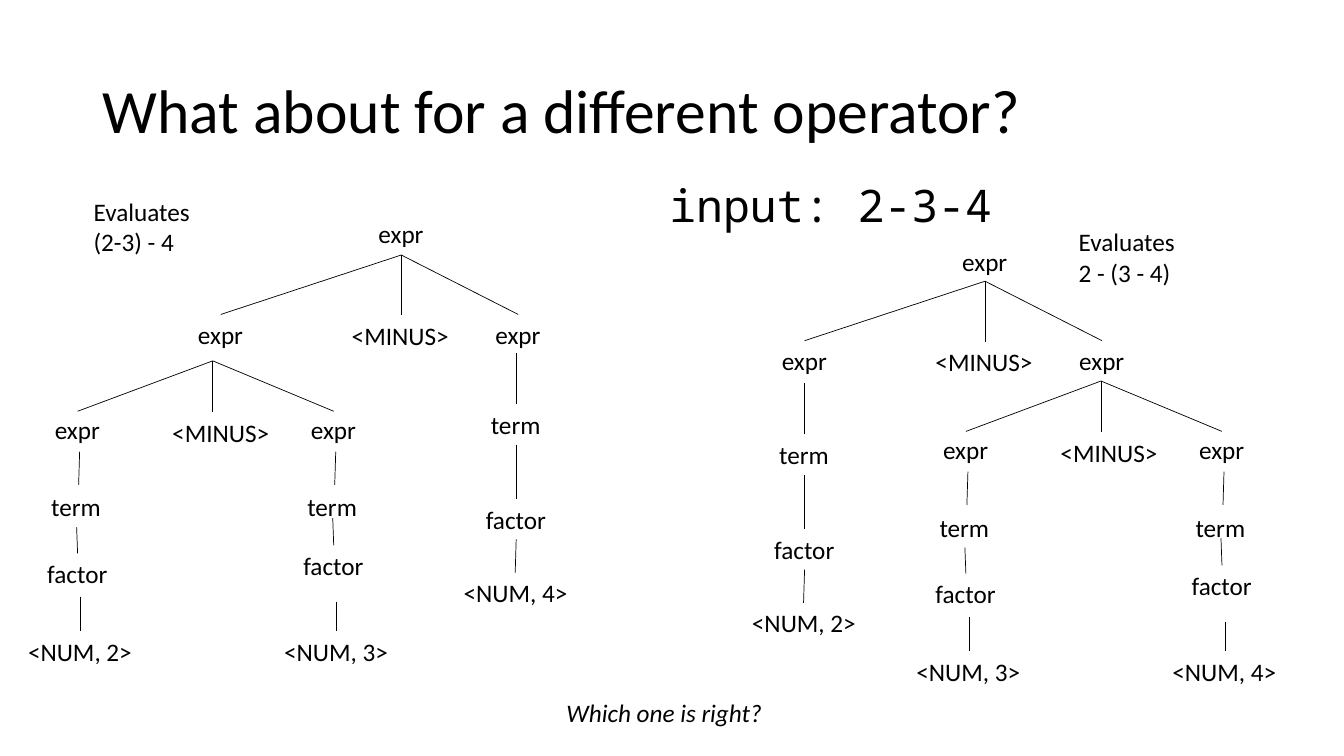
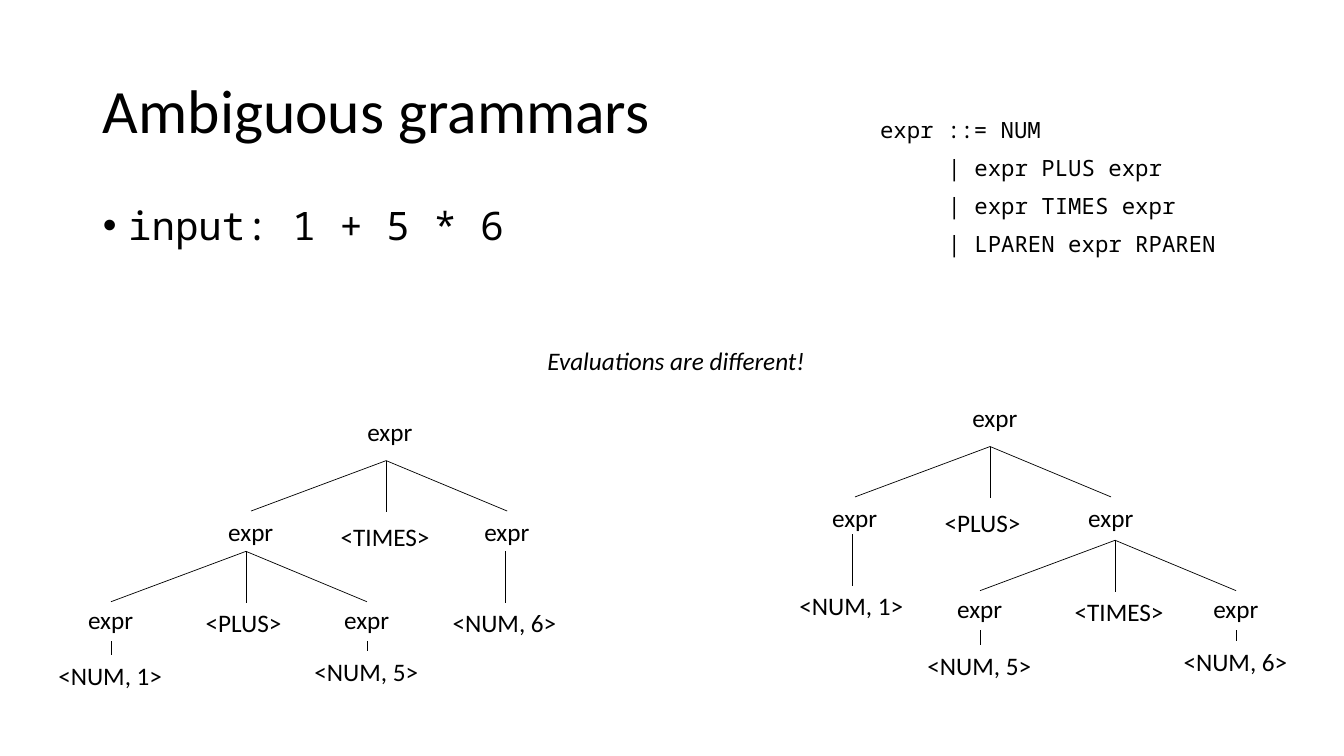
import dataclasses
import typing

import lxml.etree
import pptx
import pptx.dml.color
import pptx.enum.shapes
import pptx.enum.text
import pptx.oxml.ns
import pptx.util

# Shared style; the grid has square cells, 75 rows to the slide's height
COLOURS = {"paper": "FFFFFF", "ink": "000000"}
SANS, MONO = "Calibri", "Noto Sans Mono"
SLIDE_WIDTH, SLIDE_HEIGHT = pptx.util.Inches(13.33), pptx.util.Inches(7.5)
ROWS = 75
TITLE_AREA = (9.2, 4, 115, 14.5)
BODY_AREA = (9.2, 20, 115, 47.6)
LABEL_HEIGHT = 4
LABEL_WIDTHS = {"expr": 6.5, "term": 7, "factor": 8, "<MINUS>": 11.7,
                "<TIMES>": 10.9, "<PLUS>": 9.6, "<NUM": 12.4}


@dataclasses.dataclass
class Fork:
    """Offsets from the point where three branches meet."""
    left: float
    right: float
    drop: float
    leaf_top: float
    operator_left: float
    operator_top: float


WIDE_FORK = Fork(-17.9, 11.6, 5.9, 5.9, -5.9, 6)
UPPER_FORK = Fork(-13.4, 12, 5, 5, -5.5, 5.5)
LOWER_FORK = Fork(-13.4, 12, 5, 4.8, -5, 5.1)


class Step(typing.NamedTuple):
    """A label below a node and the line to it, as offsets from the node."""
    label: str
    shift: float
    top: float
    line_start: tuple
    line_end: tuple


NUMBER = "<NUM, {}>"
LONG_CHAIN = [Step("term", 0, 9.3, (0, 4.2), (0, 9.3)),
              Step("factor", 0, 18.7, (0, 13.3), (0, 18.7)),
              Step(NUMBER, 0, 26, (0, 22.7), (-0.1, 26))]
LEFT_CHAIN = [Step("term", -0.1, 7.7, (0.2, 4.2), (0.1, 7.5)),
              Step("factor", 0, 14.3, (-0.1, 11.7), (0, 14.3)),
              Step(NUMBER, 0.3, 22, (0.3, 18.6), (0.3, 22))]
RIGHT_CHAIN = [Step("term", -0.1, 7.7, (0.2, 4.2), (0.1, 7.5)),
               Step("factor", 0, 13.5, (-0.1, 10.8), (0, 13.5)),
               Step(NUMBER, 0.3, 22, (0.3, 19.1), (0.3, 22))]


def drop_chain(top, start=4.1, shift=0.0):
    """A single step straight down to a number."""
    return [Step(NUMBER, shift, top, (shift, start), (shift, top))]


def cells(count):
    return pptx.util.Emu(round(count * SLIDE_HEIGHT / ROWS))


def colour(name):
    return pptx.dml.color.RGBColor.from_string(COLOURS[name])


# Text
def format_text(text_frame, size, font=SANS, italic=False):
    for paragraph in text_frame.paragraphs:
        paragraph.alignment = pptx.enum.text.PP_ALIGN.LEFT
        for run in paragraph.runs:
            run.font.size = pptx.util.Pt(size)
            run.font.name = font
            run.font.italic = italic
            run.font.color.rgb = colour("ink")


def set_spacing(paragraph, before):
    paragraph.line_spacing = 0.9
    paragraph.space_before = pptx.util.Pt(before)


def set_indent(paragraph, margin, first_line=0):
    properties = paragraph._p.get_or_add_pPr()
    properties.set("marL", str(cells(margin)))
    properties.set("indent", str(cells(first_line)))


def fill_placeholder(shape, area, text, size, font, anchor, before):
    shape.left, shape.top, shape.width, shape.height = map(cells, area)
    text_frame = shape.text_frame
    text_frame.text = text
    text_frame.word_wrap = True
    text_frame.auto_size = pptx.enum.text.MSO_AUTO_SIZE.NONE
    text_frame.vertical_anchor = anchor
    set_spacing(text_frame.paragraphs[0], before)
    format_text(text_frame, size, font)


def add_titled_slide(presentation, layout_index, title):
    slide = presentation.slides.add_slide(presentation.slide_layouts[layout_index])
    slide.background.fill.solid()
    slide.background.fill.fore_color.rgb = colour("paper")
    fill_placeholder(slide.shapes.title, TITLE_AREA, title, 44, SANS,
                     pptx.enum.text.MSO_ANCHOR.MIDDLE, 0)
    return slide


def add_text(slide, area, text, size=18, font=SANS, italic=False):
    shape = slide.shapes.add_textbox(*map(cells, area))
    text_frame = shape.text_frame
    text_frame.text = text
    text_frame.word_wrap = False
    text_frame.auto_size = pptx.enum.text.MSO_AUTO_SIZE.SHAPE_TO_FIT_TEXT
    format_text(text_frame, size, font, italic)
    return text_frame


def add_grammar(slide, area, rule, alternatives):
    text_frame = add_text(slide, area, "\n".join([rule] + alternatives), 16, MONO)
    text_frame.word_wrap = True
    text_frame.auto_size = pptx.enum.text.MSO_AUTO_SIZE.NONE
    for paragraph in text_frame.paragraphs:
        set_spacing(paragraph, 10)
    for paragraph in text_frame.paragraphs[1:]:
        set_indent(paragraph, 6.7)


# Parse trees
def add_label(slide, text, centre, top):
    width = LABEL_WIDTHS[text.split(",")[0]]
    add_text(slide, (centre - width / 2, top, width, LABEL_HEIGHT), text)


def add_line(slide, start, end):
    connector = slide.shapes.add_connector(
        pptx.enum.shapes.MSO_CONNECTOR.STRAIGHT, *map(cells, start + end))
    connector.line.color.rgb = colour("ink")
    connector.line.width = pptx.util.Pt(0.5)
    lxml.etree.SubElement(connector._element.spPr, pptx.oxml.ns.qn("a:effectLst"))


def add_fork(slide, fork, x, y, operator):
    """Draw expr, operator, expr below a point; return the two expr nodes."""
    leaves = [(x + side, y + fork.leaf_top) for side in (fork.left, fork.right)]
    for leaf_x, leaf_top in leaves:
        add_line(slide, (x, y), (leaf_x, y + fork.drop))
        add_label(slide, "expr", leaf_x, leaf_top)
    add_line(slide, (x, y), (x, y + fork.drop + 0.1))
    centre = x + fork.operator_left + LABEL_WIDTHS[operator] / 2
    add_label(slide, operator, centre, y + fork.operator_top)
    return leaves


def add_chain(slide, node, steps, number):
    x, y = node
    for step in steps:
        (start_x, start_y), (end_x, end_y) = step.line_start, step.line_end
        add_line(slide, (x + start_x, y + start_y), (x + end_x, y + end_y))
        add_label(slide, step.label.format(number), x + step.shift, y + step.top)


# Slides
def add_operator_slide(presentation):
    slide = add_titled_slide(presentation, 5, "What about for a different operator?")
    add_text(slide, (65.4, 17.1, 34.4, 6.4), "input: 2-3-4", 32, MONO)
    add_text(slide, (8.3, 19, 11.7, 7.1), "Evaluates\v(2-3) - 4")
    add_text(slide, (106, 22, 11.7, 7.1), "Evaluates\v2 - (3 - 4)")
    add_text(slide, (55.2, 68.7, 21.8, 4), "Which one is right?", italic=True)

    # Grouped to the left
    add_label(slide, "expr", 39.8, 21.2)
    _, (right_x, right_top) = add_fork(slide, WIDE_FORK, 39.8, 25.3, "<MINUS>")
    add_chain(slide, (right_x - 0.2, right_top - 0.4), LONG_CHAIN, 4)
    left, right = add_fork(slide, LOWER_FORK, 21.1, 35.8, "<MINUS>")
    add_chain(slide, left, LEFT_CHAIN, 2)
    add_chain(slide, right, RIGHT_CHAIN, 3)

    # Grouped to the right
    add_label(slide, "expr", 97.7, 23.9)
    left, _ = add_fork(slide, WIDE_FORK, 97.7, 27.9, "<MINUS>")
    add_chain(slide, left, LONG_CHAIN, 2)
    left, right = add_fork(slide, LOWER_FORK, 109.2, 37.8, "<MINUS>")
    add_chain(slide, left, LEFT_CHAIN, 3)
    add_chain(slide, right, RIGHT_CHAIN, 4)


def add_grammar_slide(presentation):
    slide = add_titled_slide(presentation, 1, "Ambiguous grammars")
    body = slide.placeholders[1]
    fill_placeholder(body, BODY_AREA, "input: 1 + 5 * 6", 28, MONO,
                     pptx.enum.text.MSO_ANCHOR.TOP, 10)
    set_indent(body.text_frame.paragraphs[0], 2.5, -2.5)
    add_grammar(slide, (86.3, 11.3, 41.2, 17.3), "expr ::= NUM",
                ["| expr PLUS expr", "| expr TIMES expr", "| LPAREN expr RPAREN"])
    add_text(slide, (53.3, 33.8, 27.8, 4), "Evaluations are different!", italic=True)

    # Sum first
    add_label(slide, "expr", 38.7, 40.8)
    _, right = add_fork(slide, UPPER_FORK, 38.3, 45.7, "<TIMES>")
    add_chain(slide, right, drop_chain(9.1, 4, -0.2), 6)
    left, right = add_fork(slide, LOWER_FORK, 24.4, 54.7, "<PLUS>")
    add_chain(slide, left, drop_chain(5.5), 1)
    add_chain(slide, right, drop_chain(5.1), 5)

    # Product first
    add_label(slide, "expr", 98.7, 39.4)
    left, _ = add_fork(slide, UPPER_FORK, 98.2, 44.3, "<PLUS>")
    add_chain(slide, left, drop_chain(8.8, 3.7, -0.3), 1)
    left, right = add_fork(slide, LOWER_FORK, 110.6, 53.6, "<TIMES>")
    add_chain(slide, left, drop_chain(5.6), 5)
    add_chain(slide, right, drop_chain(5.2), 6)


def main():
    presentation = pptx.Presentation()
    presentation.slide_width = SLIDE_WIDTH
    presentation.slide_height = SLIDE_HEIGHT
    add_operator_slide(presentation)
    add_grammar_slide(presentation)
    presentation.save("out.pptx")


if __name__ == "__main__":
    main()
